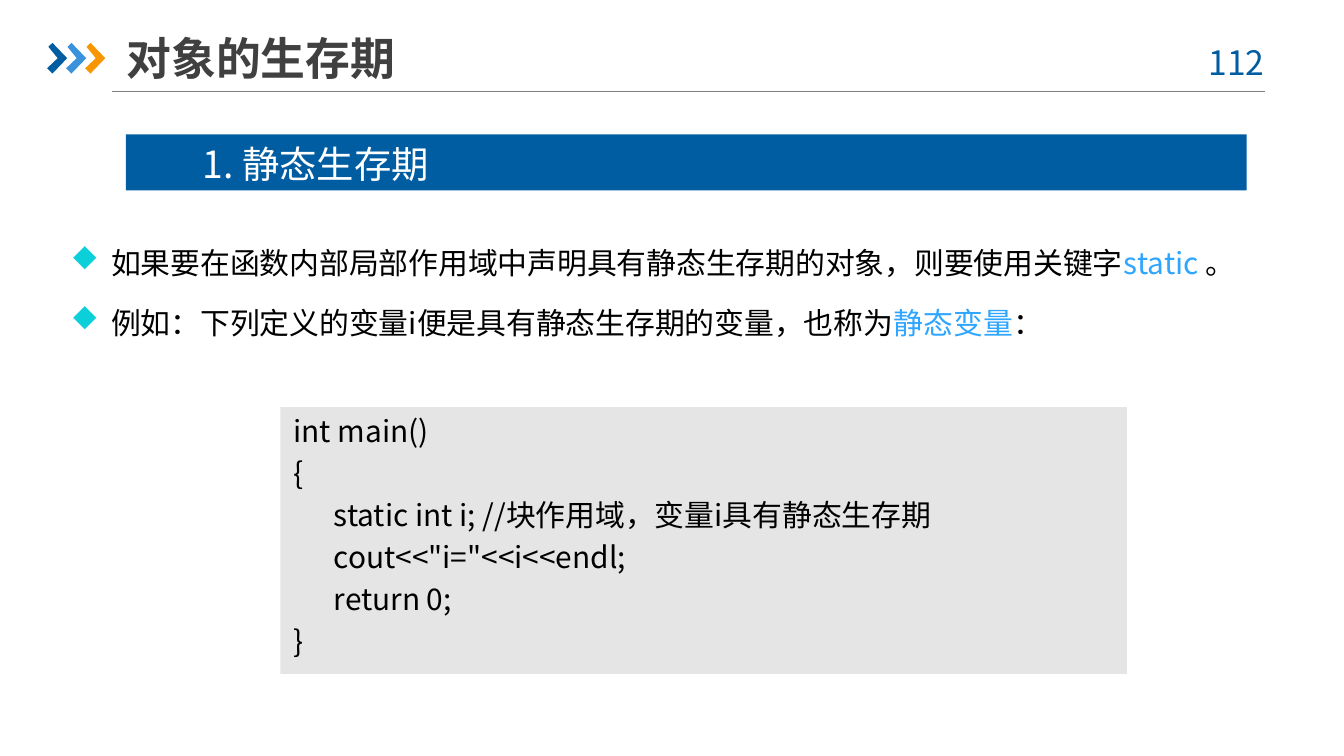
from lxml.etree import SubElement
from pptx import Presentation
from pptx.dml.color import RGBColor
from pptx.enum.shapes import MSO_CONNECTOR, MSO_SHAPE
from pptx.enum.text import MSO_ANCHOR, MSO_AUTO_SIZE, PP_ALIGN
from pptx.oxml.ns import qn
from pptx.util import Cm, Pt

FONT = "Noto Sans CJK SC"
BLUE, SKY, ORANGE = "005DA2", "3992DB", "F79600"
BLACK, WHITE, HIGHLIGHT = "000000", "FFFFFF", "2EA6FF"
HANG = 0.76


def color(value):
    return RGBColor.from_string(value)


def add_run(p, text, size, hex_color=BLACK, bold=False):
    r = p.add_run()
    r.text = text
    r.font.size, r.font.bold, r.font.name = Pt(size), bold, FONT
    r.font.color.rgb = color(hex_color)
    SubElement(r.font._element, qn("a:ea"), typeface=FONT)


def set_indent(p, left, first=0):
    pPr = p._p.get_or_add_pPr()
    pPr.set("marL", str(Cm(left)))
    pPr.set("indent", str(Cm(first)))


def add_bullet(p):
    set_indent(p, HANG, -HANG)
    pPr = p._p.get_or_add_pPr()
    SubElement(SubElement(pPr, qn("a:buClr")), qn("a:srgbClr"), val="0BD0D9")
    SubElement(pPr, qn("a:buSzPct"), val="95000")
    # In Wingdings the letter u is a small diamond
    SubElement(pPr, qn("a:buFont"), typeface="Wingdings", charset="2")
    SubElement(pPr, qn("a:buChar"), char="u")


def add_text_box(s, x, y, w, h):
    tf = s.shapes.add_textbox(Cm(x), Cm(y), Cm(w), Cm(h)).text_frame
    tf.word_wrap = True
    return tf


def add_rect(s, x, y, w, h, fill):
    sp = s.shapes.add_shape(MSO_SHAPE.RECTANGLE, Cm(x), Cm(y), Cm(w), Cm(h))
    sp.shadow.inherit = False
    sp.fill.solid()
    sp.fill.fore_color.rgb = color(fill)
    sp.line.fill.background()
    return sp


def add_chevrons(s, x, y, w, h, step):
    group = s.shapes.add_group_shape()
    outline = [(0.07, 0.13), (0.27, 0), (1, 0.5), (0.27, 1), (0, 0.83), (0.53, 0.5)]
    for i, fill in enumerate((BLUE, SKY, ORANGE)):
        points = [(Cm(x + i * step + w * px), Cm(y + h * py)) for px, py in outline]
        builder = group.shapes.build_freeform(*points[0])
        builder.add_line_segments(points[1:], close=True)
        sp = builder.convert_to_shape()
        sp.shadow.inherit = False
        sp.fill.solid()
        sp.fill.fore_color.rgb = color(fill)
        sp.line.fill.background()


def add_header(s, x, y, w, h, title, number):
    # Rule under the title
    line = s.shapes.add_connector(
        MSO_CONNECTOR.STRAIGHT, Cm(x + 1.22), Cm(y + h), Cm(x + w), Cm(y + h))
    line.line.color.rgb = color("808080")
    line.line.width = Pt(0.75)
    SubElement(line._element.spPr, qn("a:effectLst"))
    add_chevrons(s, x, y + 0.25, 0.38, 0.58, 0.36)
    # Title
    sp = s.shapes.title
    sp.left, sp.top, sp.width, sp.height = Cm(x + 1.5), Cm(y), Cm(11.91), Cm(1.07)
    tf = sp.text_frame
    tf.auto_size = MSO_AUTO_SIZE.NONE
    tf.vertical_anchor = MSO_ANCHOR.MIDDLE
    tf.margin_left = tf.margin_right = 0
    p = tf.paragraphs[0]
    p.alignment = PP_ALIGN.LEFT
    add_run(p, title, 24, "404040", True)
    # Page number
    p = add_text_box(s, x + w - 1.38, y + 0.1, 1.85, 1.02).paragraphs[0]
    p.alignment = PP_ALIGN.CENTER
    add_run(p, number, 18, BLUE)


def add_section_bar(s, x, y, w, h, text):
    add_rect(s, x, y, w, h, BLUE)
    p = add_text_box(s, x + 1.2, y, 5.05, h).paragraphs[0]
    add_run(p, text, 20, WHITE)


def add_bullets(s, x, y, w, h, items):
    tf = add_text_box(s, x, y, w, h)
    for i, runs in enumerate(items):
        p = tf.add_paragraph() if i else tf.paragraphs[0]
        p.line_spacing = Pt(32)
        add_bullet(p)
        for text, hex_color in runs:
            add_run(p, text, 16, hex_color)


def add_code(s, x, y, w, h, lines):
    tf = add_rect(s, x, y, w, h, "E5E5E5").text_frame
    tf.word_wrap = True
    tf.vertical_anchor = MSO_ANCHOR.TOP
    tf.margin_top = 0
    for i, (level, text) in enumerate(lines):
        p = tf.add_paragraph() if i else tf.paragraphs[0]
        p.alignment = PP_ALIGN.LEFT
        p.line_spacing = Pt(22.4)
        set_indent(p, level * HANG)
        add_run(p, text, 16)


def main():
    prs = Presentation()
    prs.slide_width, prs.slide_height = Cm(25.4), Cm(14.28)
    s = prs.slides.add_slide(prs.slide_layouts[5])
    add_header(s, 0.89, 0.56, 23.01, 1.17, "对象的生存期", "112 ")
    add_section_bar(s, 2.38, 2.54, 21.18, 1.06, "1. 静态生存期")
    add_bullets(s, 1.09, 4.04, 23.39, 2.44, [
        [("如果要在函数内部局部作用域中声明具有静态生存期的对象，则要使用关键字", BLACK),
         ("static ", HIGHLIGHT), ("。", BLACK)],
        [("例如：下列定义的变量i便是具有静态生存期的变量，也称为", BLACK),
         ("静态变量", HIGHLIGHT), ("：", BLACK)],
    ])
    add_code(s, 5.3, 7.69, 16, 5.04, [
        (0, "int main()"),
        (0, "{"),
        (1, "static int i; //块作用域，变量i具有静态生存期"),
        (1, 'cout<<"i="<<i<<endl;'),
        (1, "return 0;"),
        (0, "}"),
    ])
    prs.save("out.pptx")


if __name__ == "__main__":
    main()
